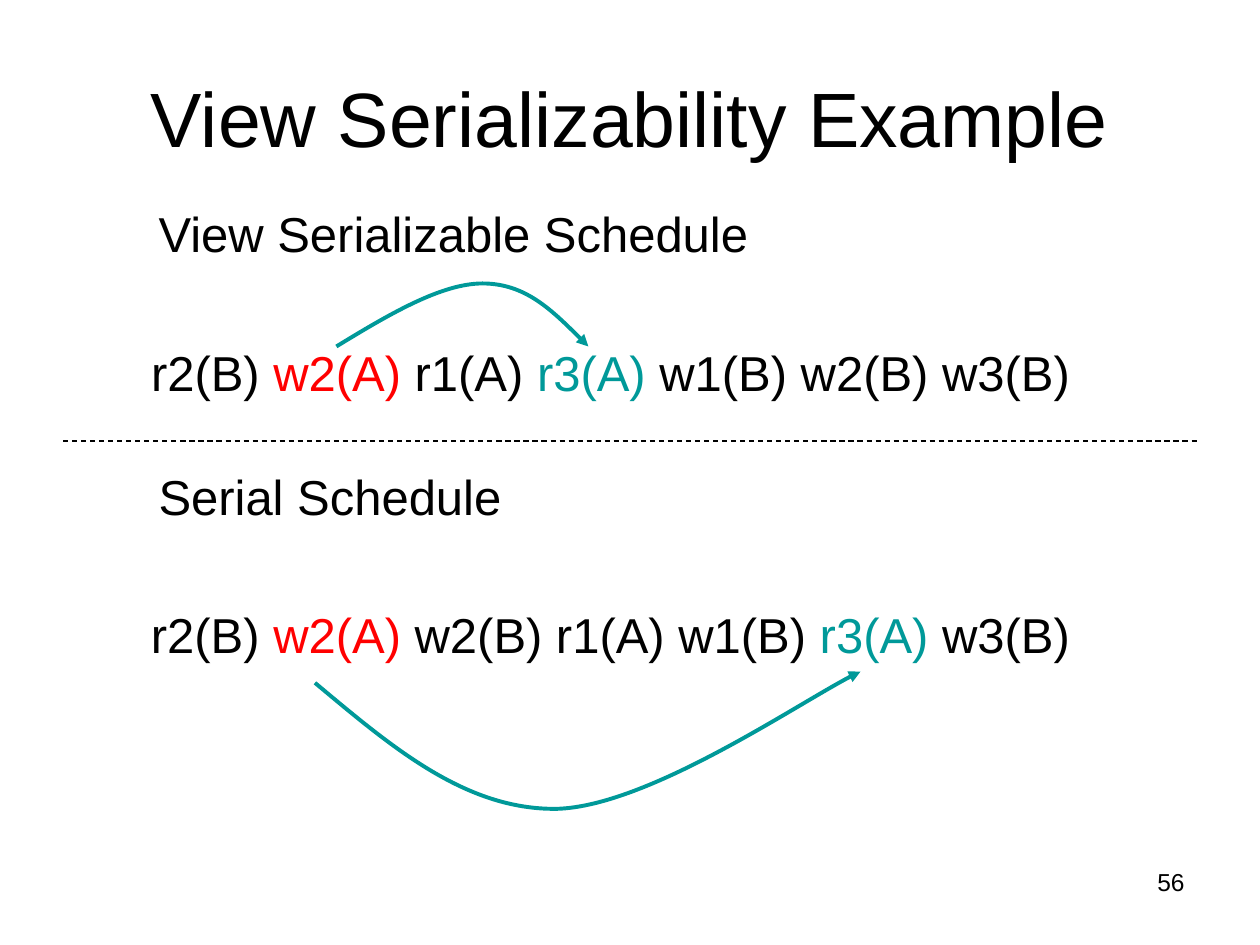
from dataclasses import dataclass

from lxml import etree
from pptx import Presentation
from pptx.dml.color import RGBColor
from pptx.enum import dml, shapes, text
from pptx.oxml.ns import qn
from pptx.util import Inches, Pt

Point = tuple[float, float]
Run = tuple[str, RGBColor]


@dataclass(frozen=True)
class Theme:
    font: str = "Arial"
    ink: RGBColor = RGBColor(0x00, 0x00, 0x00)
    source_red: RGBColor = RGBColor(0xFF, 0x00, 0x00)
    reader_teal: RGBColor = RGBColor(0x00, 0x99, 0x99)
    title_size: int = 44
    body_size: int = 28
    number_size: int = 14
    divider_width: float = 0.75
    arrow_width: float = 2.25


THEME = Theme()
SOURCE: Run = ("w2(A)", THEME.source_red)
READER: Run = ("r3(A)", THEME.reader_teal)
OPERATIONS_OFFSET = 1.1


@dataclass(frozen=True)
class Schedule:
    heading: str
    top: float
    heading_width: float
    operations: list[Run]
    operations_width: float
    arrow: list[Point]  # start, then two controls and an end for each curve


SCHEDULES = [
    Schedule(
        "View Serializable Schedule", 1.57, 4.88,
        [("r2(B) ", THEME.ink), SOURCE, (" r1(A) ", THEME.ink), READER,
         (" w1(B) w2(B) w3(B)", THEME.ink)], 7.49,
        [(2.67, 2.75), (3.08, 2.5), (3.5, 2.25), (3.83, 2.25),
         (4.17, 2.25), (4.42, 2.5), (4.67, 2.75)],
    ),
    Schedule(
        "Serial Schedule", 3.65, 2.92,
        [("r2(B) ", THEME.ink), SOURCE, (" w2(B) r1(A) w1(B) ", THEME.ink), READER,
         (" w3(B)", THEME.ink)], 7.6,
        [(2.5, 5.42), (3.1, 5.92), (3.69, 6.43), (4.42, 6.42),
         (5.14, 6.4), (6.44, 5.51), (6.83, 5.33)],
    ),
]


def set_text(box, runs: list[Run], *, size: int, align=text.PP_ALIGN.LEFT,
             anchor=text.MSO_ANCHOR.TOP, wrap: bool = False) -> None:
    frame = box.text_frame
    frame.word_wrap = wrap
    frame.vertical_anchor = anchor
    paragraph = frame.paragraphs[0]
    paragraph.alignment = align
    for words, color in runs:
        run = paragraph.add_run()
        run.text = words
        run.font.name = THEME.font
        run.font.size = Pt(size)
        run.font.color.rgb = color


def add_box(slide, left: float, top: float, width: float, height: float = 0.57):
    return slide.shapes.add_textbox(*map(Inches, (left, top, width, height)))


def add_curved_arrow(slide, points: list[Point]) -> None:
    """Outline the control points, then turn each three segments into a curve."""
    start, *rest = [(Inches(x), Inches(y)) for x, y in points]
    builder = slide.shapes.build_freeform(*start)
    builder.add_line_segments(rest, close=False)
    arrow = builder.convert_to_shape()
    arrow.shadow.inherit = False
    arrow.fill.background()
    arrow.line.color.rgb = THEME.reader_teal
    arrow.line.width = Pt(THEME.arrow_width)

    outline = next(arrow.element.iter(qn("a:path")))
    outline.set("fill", "none")
    segments = outline.findall(qn("a:lnTo"))
    for first in range(0, len(segments), 3):
        curve = etree.SubElement(outline, qn("a:cubicBezTo"))
        for segment in segments[first:first + 3]:
            curve.append(segment[0])
            outline.remove(segment)
    line = arrow.element.spPr.find(qn("a:ln"))
    etree.SubElement(line, qn("a:tailEnd"), type="triangle")


def add_divider(slide, left: float, right: float, y: float) -> None:
    divider = slide.shapes.add_connector(
        shapes.MSO_CONNECTOR.STRAIGHT, *map(Inches, (left, y, right, y)))
    divider.line.color.rgb = THEME.ink
    divider.line.width = Pt(THEME.divider_width)
    divider.line.dash_style = dml.MSO_LINE.DASH
    etree.SubElement(divider.element.spPr, qn("a:effectLst"))


def add_schedule(slide, schedule: Schedule) -> None:
    heading = add_box(slide, 1.16, schedule.top, schedule.heading_width)
    set_text(heading, [(schedule.heading, THEME.ink)], size=THEME.body_size)
    operations = add_box(slide, 1.1, schedule.top + OPERATIONS_OFFSET,
                         schedule.operations_width)
    set_text(operations, schedule.operations, size=THEME.body_size)
    add_curved_arrow(slide, schedule.arrow)


def main() -> None:
    deck = Presentation()
    deck.slide_width, deck.slide_height = Inches(10), Inches(7.5)
    slide = deck.slides.add_slide(deck.slide_layouts[5])

    title = slide.shapes.title
    title.left, title.top, title.width, title.height = map(Inches, (0.5, 0.3, 9, 1.25))
    set_text(title, [("View Serializability Example", THEME.ink)],
             size=THEME.title_size, align=text.PP_ALIGN.CENTER,
             anchor=text.MSO_ANCHOR.MIDDLE, wrap=True)

    for schedule in SCHEDULES:
        add_schedule(slide, schedule)
    add_divider(slide, 0.5, 9.5, 3.5)

    page_number = add_box(slide, 7.17, 6.83, 2.33, 0.52)
    set_text(page_number, [("56", THEME.ink)], size=THEME.number_size,
             align=text.PP_ALIGN.RIGHT, wrap=True)
    deck.save("out.pptx")


if __name__ == "__main__":
    main()
